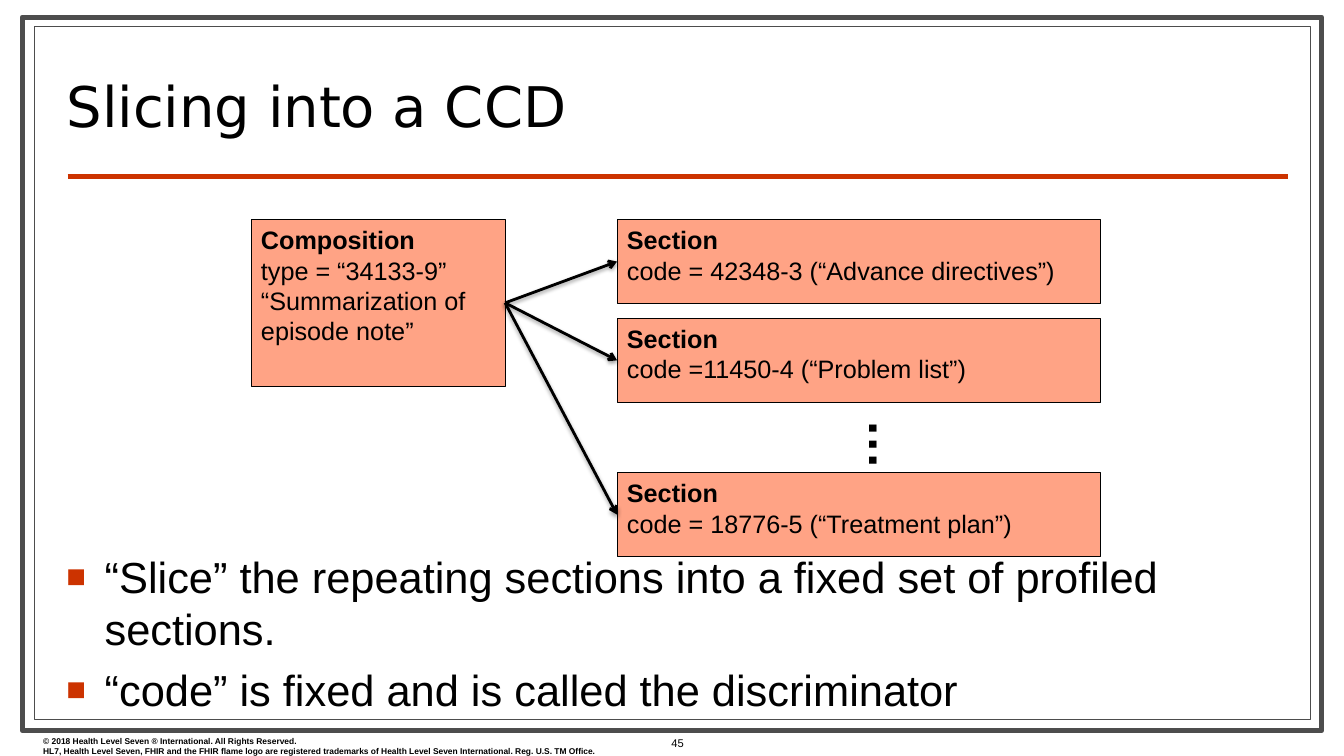
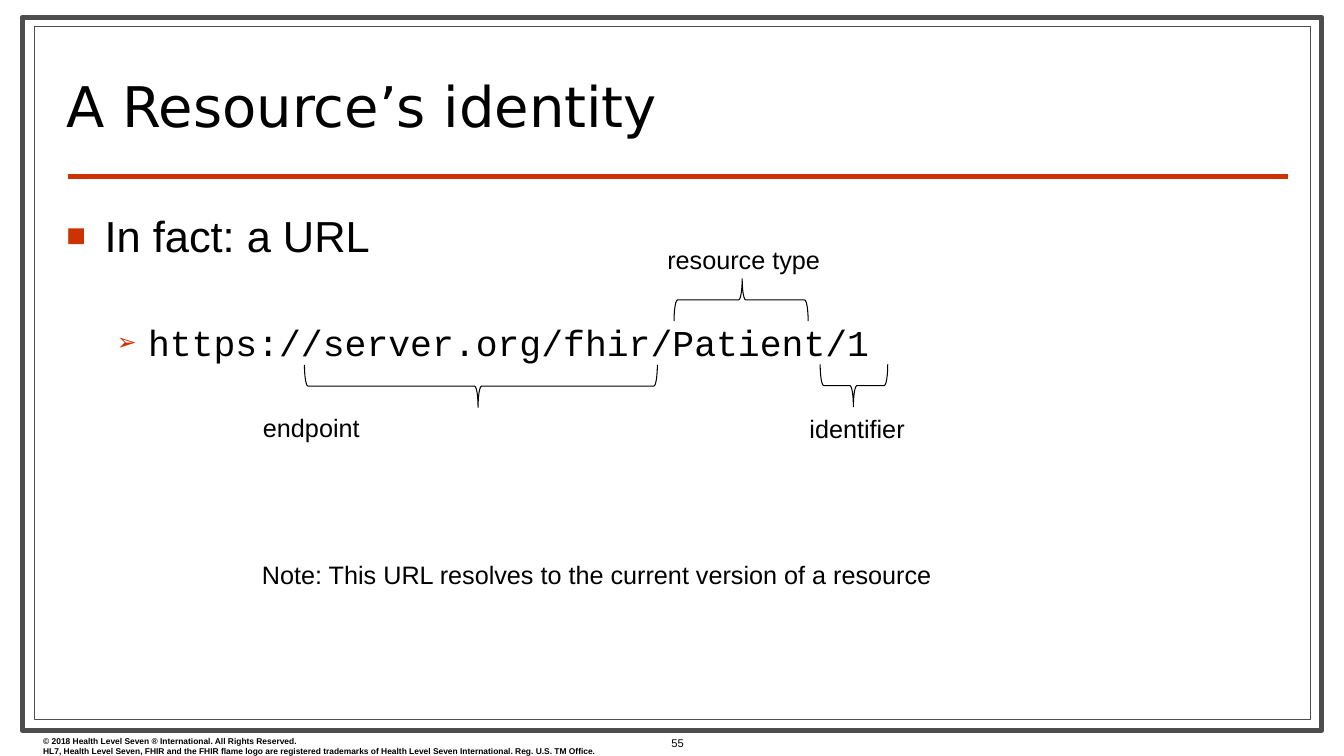
from lxml import etree
from pptx import Presentation
from pptx.dml.color import RGBColor
from pptx.enum.shapes import MSO_CONNECTOR, MSO_SHAPE
from pptx.enum.text import MSO_ANCHOR, PP_ALIGN
from pptx.oxml.ns import qn
from pptx.util import Emu, Pt

PX = 9144
COLORS = {
    "text": "000000",
    "frame": "4D4D4D",
    "accent": "CC3300",
    "box": "FFA385",
}
TITLE_FONT, BODY_FONT, CODE_FONT = "DejaVu Sans", "Arial", "Courier New"
COPYRIGHT = [
    "© 2018 Health Level Seven ® International. All Rights Reserved.",
    "HL7, Health Level Seven, FHIR and the FHIR flame logo are registered "
    "trademarks of Health Level Seven International. Reg. U.S. TM Office.",
]


def px(*values):
    return [Emu(v * PX) for v in values]


def rgb(name):
    return RGBColor.from_string(COLORS[name])


def child(parent, tag, **attrs):
    return etree.SubElement(parent, qn(tag), attrs)


def add_run(p, text, size, font=BODY_FONT, bold=False):
    r = p.add_run()
    r.text = text
    r.font.size = Pt(size)
    r.font.name = font
    r.font.bold = bold
    r.font.color.rgb = rgb("text")


def next_paragraph(tf, index):
    return tf.add_paragraph() if index else tf.paragraphs[0]


def add_text(s, at, lines, size, bold=False, wrap=False, align=PP_ALIGN.LEFT,
             anchor=MSO_ANCHOR.TOP):
    tf = s.shapes.add_textbox(*px(*at)).text_frame
    tf.word_wrap = wrap
    tf.vertical_anchor = anchor
    for i, line in enumerate(lines):
        p = next_paragraph(tf, i)
        p.alignment = align
        add_run(p, line, size, bold=bold)
    return tf


def add_preset(s, preset, at, line="text", width=0.75, fill=None):
    sp = s.shapes.add_shape(preset, *px(*at))
    sp.shadow.inherit = False
    sp.line.color.rgb = rgb(line)
    sp.line.width = Pt(width)
    if fill:
        sp.fill.solid()
        sp.fill.fore_color.rgb = rgb(fill)
    else:
        sp.fill.background()
    return sp


def add_line(s, ends, color, width):
    line = s.shapes.add_connector(MSO_CONNECTOR.STRAIGHT, *px(*ends))
    line.line.color.rgb = rgb(color)
    line.line.width = Pt(width)
    effects = child(line._element.spPr, "a:effectLst")
    return line, effects


def add_arrow(s, source, target):
    line, effects = add_line(s, (0, 0, 0, 0), "text", 2)
    line.begin_connect(source, 3)
    line.end_connect(target, 1)
    child(line.line._get_or_add_ln(), "a:tailEnd", type="arrow")
    shadow = child(effects, "a:outerShdw", blurRad=str(Pt(3.1)),
                   dist=str(Pt(1.6)), dir="5400000", rotWithShape="0")
    black = child(shadow, "a:srgbClr", val=COLORS["text"])
    child(black, "a:alpha", val="38000")


def add_record(s, at, heading, details):
    sp = add_preset(s, MSO_SHAPE.RECTANGLE, at, fill="box")
    tf = sp.text_frame
    tf.word_wrap = True
    tf.vertical_anchor = MSO_ANCHOR.TOP
    for i, line in enumerate([heading, *details]):
        p = next_paragraph(tf, i)
        p.alignment = PP_ALIGN.LEFT
        add_run(p, line, 18, bold=i == 0)
    return sp


def add_brace(s, at, rotation):
    sp = add_preset(s, MSO_SHAPE.LEFT_BRACE, at)
    sp.rotation = rotation
    sp.adjustments[0] = 0.083
    sp.adjustments[1] = 0.492


def add_bullet(p, char, percent, left, hanging):
    pPr = p._p.get_or_add_pPr()
    pPr.set("marL", str(left * PX))
    pPr.set("indent", str(-hanging * PX))
    child(child(pPr, "a:buClr"), "a:srgbClr", val=COLORS["accent"])
    child(pPr, "a:buSzPct", val=str(percent * 1000))
    child(pPr, "a:buFont", typeface=BODY_FONT)
    child(pPr, "a:buChar", char=char)


def add_main_bullets(s, at, lines):
    tf = s.shapes.add_textbox(*px(*at)).text_frame
    tf.word_wrap = True
    for i, line in enumerate(lines):
        p = next_paragraph(tf, i)
        add_bullet(p, "■", 75, 38, 38)
        if i:
            p.space_before = Pt(6.2)
        add_run(p, line, 31)
    return tf


def add_code_bullet(tf, code):
    p = tf.add_paragraph()
    p.level = 1
    add_bullet(p, "➢", 65, 81, 31)
    p.space_before = Pt(42)
    add_run(p, code, 26, CODE_FONT)


def add_base_slide(prs, title, number):
    s = prs.slides.add_slide(prs.slide_layouts[5])
    add_preset(s, MSO_SHAPE.RECTANGLE, (22, 17, 1289, 708), "frame", 3.5)
    add_preset(s, MSO_SHAPE.RECTANGLE, (34, 26, 1266, 688), "frame")
    add_line(s, (67, 175, 1277, 175), "accent", 3)
    add_text(s, (33, 725, 644, 30), COPYRIGHT, 6, bold=True, wrap=True)
    add_text(s, (633, 725, 78, 25), [str(number)], 8, wrap=True,
             align=PP_ALIGN.CENTER, anchor=MSO_ANCHOR.MIDDLE)
    sp = s.shapes.title
    sp.left, sp.top, sp.width, sp.height = px(56, 52, 1020, 90)
    tf = sp.text_frame
    tf.word_wrap = True
    tf.vertical_anchor = MSO_ANCHOR.BOTTOM
    p = tf.paragraphs[0]
    p.alignment = PP_ALIGN.LEFT
    p.line_spacing = 0.8
    add_run(p, title, 40, TITLE_FONT)
    return s


def build_slicing(prs):
    s = add_base_slide(prs, "Slicing into a CCD", 45)
    composition = add_record(
        s, (249, 218, 252, 165), "Composition",
        ["type = “34133-9” “Summarization of", "episode note”"])
    sections = [
        (218, "code = 42348-3 (“Advance directives”)"),
        (316, "code =11450-4 (“Problem list”)"),
        (469, "code = 18776-5 (“Treatment plan”)"),
    ]
    for top, code in sections:
        section = add_record(s, (612, top, 480, 83), "Section", [code])
        add_arrow(s, composition, section)
    ellipsis = add_text(s, (836, 406, 81, 61), ["…"], 36, bold=True)
    ellipsis._txBody.bodyPr.set("vert", "eaVert")
    add_main_bullets(s, (56, 541, 1222, 145), [
        "“Slice” the repeating sections into a fixed set of profiled sections.",
        "“code” is fixed and is called the discriminator",
    ])


def build_identity(prs):
    s = add_base_slide(prs, "A Resource’s identity", 55)
    tf = add_main_bullets(s, (56, 203, 1222, 483), ["In fact: a URL"])
    add_code_bullet(tf, "https://server.org/fhir/Patient/1")
    url_parts = [
        ((456, 208, 42, 350), 270, "endpoint", (251, 404, 117, 40)),
        ((714, 231, 42, 133), 90, "resource type", (652, 237, 173, 40)),
        ((826, 349, 42, 67), 270, "identifier", (793, 405, 116, 40)),
    ]
    for brace_at, rotation, label, label_at in url_parts:
        add_brace(s, brace_at, rotation)
        add_text(s, label_at, [label], 18)
    add_text(s, (250, 550, 691, 40),
             ["Note: This URL resolves to the current version of a resource"], 18)


def main():
    prs = Presentation()
    prs.slide_width, prs.slide_height = px(1333, 750)
    build_slicing(prs)
    build_identity(prs)
    prs.save("out.pptx")


if __name__ == "__main__":
    main()
